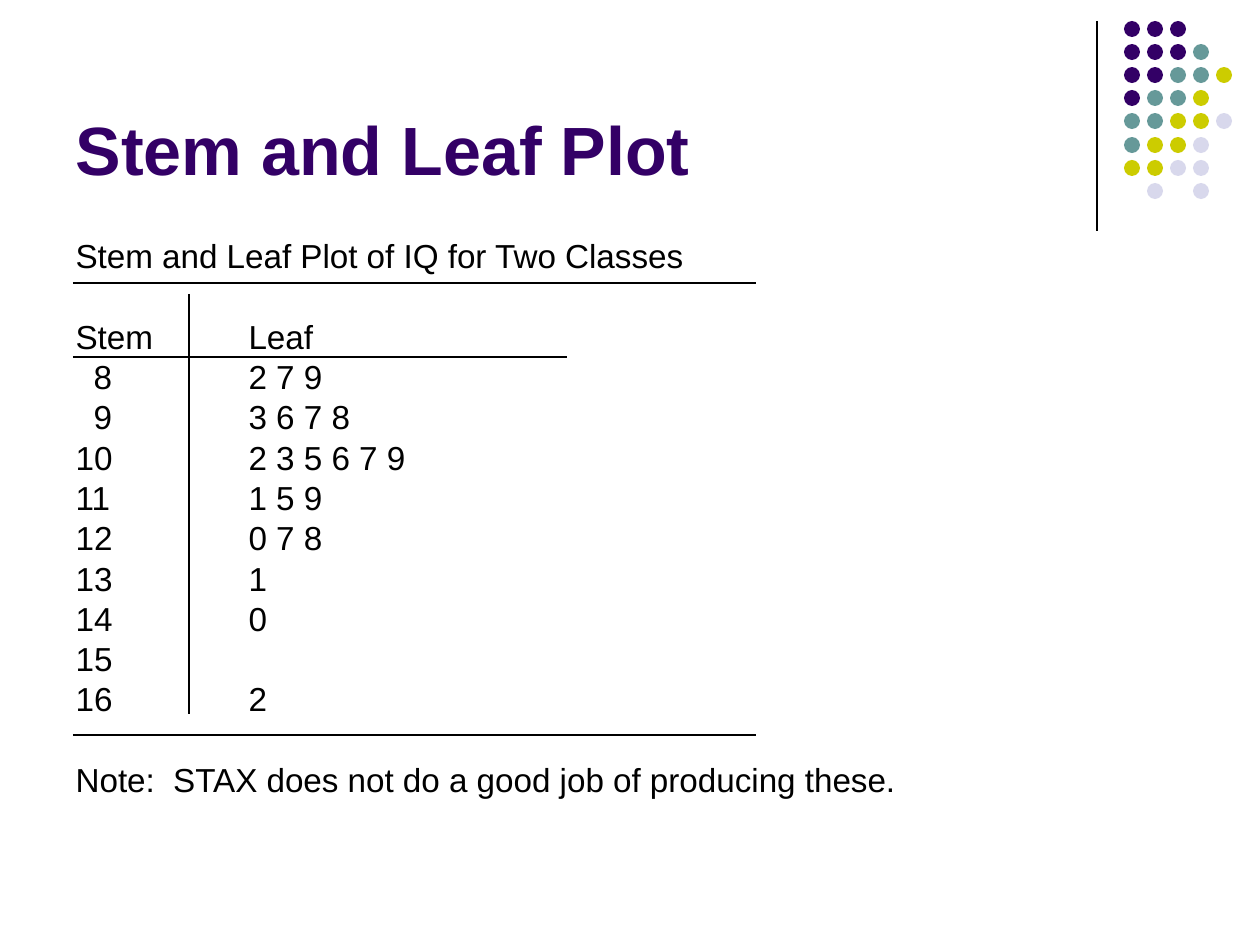
from lxml import etree
from pptx import Presentation
from pptx.dml.color import RGBColor
from pptx.enum.shapes import MSO_CONNECTOR, MSO_SHAPE
from pptx.enum.text import MSO_ANCHOR, MSO_AUTO_SIZE, PP_ALIGN
from pptx.oxml.ns import qn
from pptx.util import Pt

STRAIGHT = MSO_CONNECTOR.STRAIGHT
OVAL = MSO_SHAPE.OVAL
LEFT = PP_ALIGN.LEFT
TOP, BOTTOM = MSO_ANCHOR.TOP, MSO_ANCHOR.BOTTOM
NO_AUTOFIT = MSO_AUTO_SIZE.NONE

PX = 914400 / 126
LEAF_INDENT = 173
LINE_GAP, BLOCK_GAP = 4.8, 27.8


def write(paragraph, text, size, color="000000", bold=False, before=0, spacing=1.0, margin=0, start=0):
    """Fill a paragraph; the first line begins at start, and a tab leads to margin (both px)."""
    paragraph.alignment = LEFT
    paragraph.line_spacing = spacing
    paragraph.space_before = Pt(before)
    properties = paragraph._p.get_or_add_pPr()
    properties.set("marL", str(round(margin * PX)))
    properties.set("indent", str(round((start - margin) * PX)))
    etree.SubElement(properties, qn("a:buNone"))
    run = paragraph.add_run()
    run.text = text
    run.font.name = "Arial"
    run.font.size = Pt(size)
    run.font.bold = bold
    run.font.color.rgb = RGBColor.from_string(color)


def place(placeholder, box, anchor):
    """Move a placeholder to a px box and return its text frame."""
    left, top, width, height = (round(value * PX) for value in box)
    placeholder.left, placeholder.top = left, top
    placeholder.width, placeholder.height = width, height
    frame = placeholder.text_frame
    frame.auto_size = NO_AUTOFIT
    frame.word_wrap = True
    frame.vertical_anchor = anchor
    return frame


presentation = Presentation()
presentation.slide_width = round(1260 * PX)
presentation.slide_height = round(945 * PX)
slide = presentation.slides.add_slide(presentation.slide_layouts[1])

# Corner ornament: one letter per dot, a space where there is none
dot_colors = {"P": "330066", "T": "669999", "Y": "CCCC00", "L": "D8D8EC"}
dot_rows = ["PPP", "PPPT", "PPTTY", "PTTY", "TTYYL", "TYYL", "YYLL", " L L"]
for row, letters in enumerate(dot_rows):
    for column, letter in enumerate(letters):
        if letter == " ":
            continue
        left, top = 1124 + 116 * column // 5, 21 + 116 * row // 5
        dot = slide.shapes.add_shape(OVAL, round(left * PX), round(top * PX), round(16 * PX), round(16 * PX))
        dot.shadow.inherit = False
        dot.fill.solid()
        dot.fill.fore_color.rgb = RGBColor.from_string(dot_colors[letter])
        dot.line.fill.background()

# Title
title_frame = place(slide.shapes.title, (63, 16, 1040, 179), BOTTOM)
write(title_frame.paragraphs[0], "Stem and Leaf Plot", size=39, color="330066", bold=True)

# Plot: (text, space before, start of first line)
stems = [
    ("8", "2 7 9"), ("9", "3 6 7 8"), ("10", "2 3 5 6 7 9"), ("11", "1 5 9"),
    ("12", "0 7 8"), ("13", "1"), ("14", "0"), ("15", ""), ("16", "2"),
]
lines = [("Stem and Leaf Plot of IQ for Two Classes", LINE_GAP, 0), ("Stem\tLeaf", BLOCK_GAP, 0)]
for stem, leaves in stems:
    text = f"{stem}\t{leaves}" if leaves else stem
    lines.append((text, LINE_GAP, 18 if len(stem) == 1 else 0))
lines.append(("Note:  STAX does not do a good job of producing these.", BLOCK_GAP, 0))

body_frame = place(slide.placeholders[1], (63, 237, 1134, 607), TOP)
for number, (text, before, start) in enumerate(lines):
    paragraph = body_frame.add_paragraph() if number else body_frame.paragraphs[0]
    write(paragraph, text, size=19, before=before, spacing=0.8, margin=LEAF_INDENT, start=start)

# Rules
rules = [
    (1097, 21, 1097, 231),
    (73, 283, 756, 283),
    (73, 357, 567, 357),
    (189, 294, 189, 714),
    (73, 735, 756, 735),
]
for ends in rules:
    rule = slide.shapes.add_connector(STRAIGHT, *(round(value * PX) for value in ends))
    rule.line.color.rgb = RGBColor.from_string("000000")
    rule.line.width = Pt(0.75)
    etree.SubElement(rule._element.spPr, qn("a:effectLst"))

presentation.save("out.pptx")
